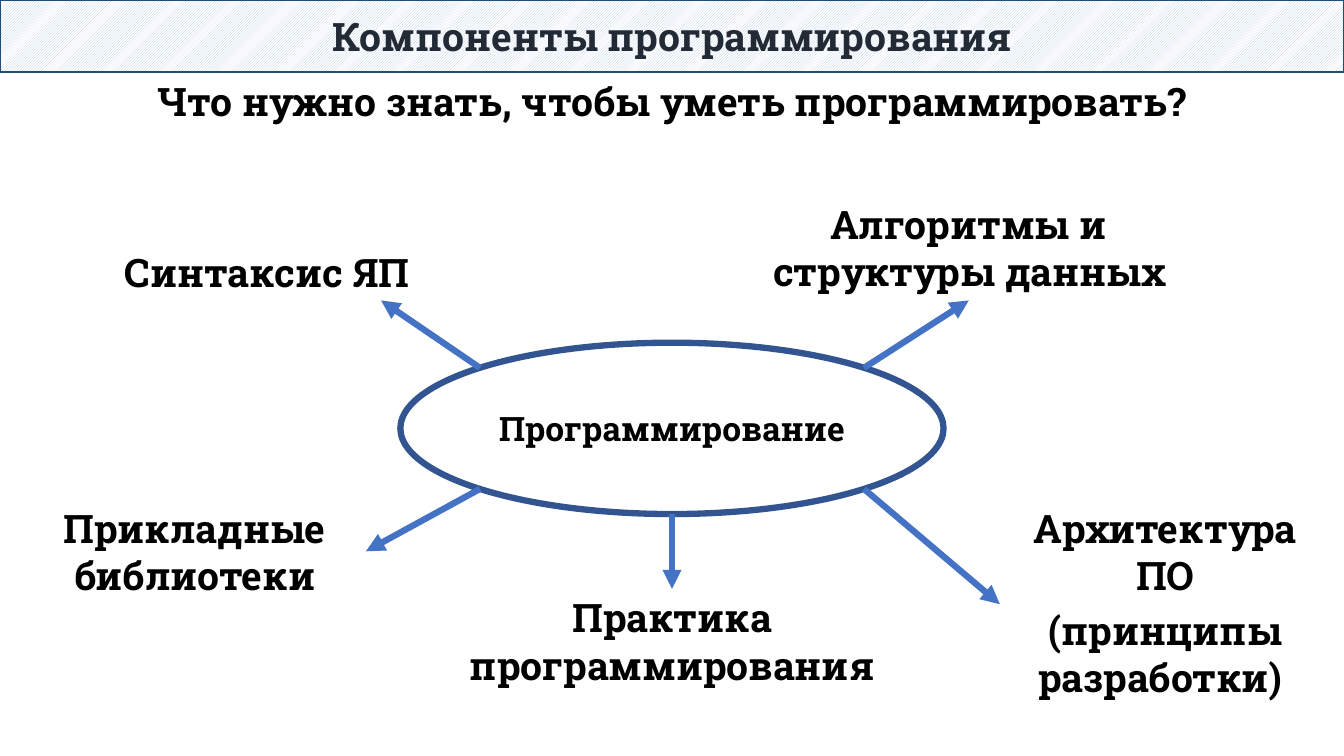
import math
from dataclasses import dataclass

import lxml.etree
import pptx
import pptx.dml.color
import pptx.enum.dml
import pptx.enum.shapes
import pptx.enum.text
import pptx.oxml.ns
import pptx.util

Pt = pptx.util.Pt
Color = pptx.dml.color.RGBColor.from_string


@dataclass(frozen=True)
class Theme:
    font: str = "Roboto Slab"
    heading_size: int = 28
    center_size: int = 24
    text: str = "000000"
    title: str = "222A35"
    banner_line: str = "1F4E79"
    hatch: str = "B4C7E7"
    paper: str = "FFFFFF"
    ellipse_line: str = "325491"
    arrow: str = "4472C4"


theme = Theme()


def write(box, lines, size, color):
    frame = box.text_frame
    frame.word_wrap = True
    frame.text = "\n".join(lines)
    for para in frame.paragraphs:
        para.alignment = pptx.enum.text.PP_ALIGN.CENTER
        para.font.name = theme.font
        para.font.size = Pt(size)
        para.font.bold = True
        para.font.color.rgb = Color(color)
    return frame


def add_shape(kind, left, top, width, height, line_color, line_width):
    shape = page.shapes.add_shape(kind, Pt(left), Pt(top), Pt(width), Pt(height))
    shape.shadow.inherit = False
    shape.line.color.rgb = Color(line_color)
    shape.line.width = Pt(line_width)
    shape.text_frame.vertical_anchor = pptx.enum.text.MSO_ANCHOR.MIDDLE
    return shape


deck = pptx.Presentation()
deck.slide_width, deck.slide_height = Pt(960), Pt(540)
page = deck.slides.add_slide(deck.slide_layouts[6])
shape_kinds = pptx.enum.shapes.MSO_SHAPE

banner = add_shape(shape_kinds.RECTANGLE, 0, 0, 960, 51.6, theme.banner_line, 1.25)
banner.fill.patterned()
banner.fill.pattern = pptx.enum.dml.MSO_PATTERN.LIGHT_UPWARD_DIAGONAL
banner.fill.fore_color.rgb = Color(theme.hatch)
banner.fill.back_color.rgb = Color(theme.paper)
frame = write(banner, ["Компоненты программирования"], theme.heading_size, theme.title)
frame.margin_left = frame.margin_right = Pt(1.5)
frame.margin_top = frame.margin_bottom = Pt(1.5)

center_x, center_y = 480, 306
ellipse_width, ellipse_height = 388, 122.4
ellipse = add_shape(
    shape_kinds.OVAL,
    center_x - ellipse_width / 2,
    center_y - ellipse_height / 2,
    ellipse_width,
    ellipse_height,
    theme.ellipse_line,
    4.5,
)
ellipse.fill.background()
write(ellipse, ["Программирование"], theme.center_size, theme.text)

labels = [
    (0, 51.6, 960, 41.2, ["Что нужно знать, чтобы уметь программировать?"]),
    (67, 173.5, 247.7, 41.2, ["Синтаксис ЯП"]),
    (17.3, 356.6, 243.4, 75, ["Прикладные библиотеки"]),
    (314.8, 420.6, 330.5, 75, ["Практика программирования"]),
    (714.2, 356.6, 236.2, 150, ["Архитектура ПО", "(принципы разработки) "]),
    (509.8, 139.2, 364.3, 75, ["Алгоритмы и структуры данных"]),
]
for left, top, width, height, lines in labels:
    label = page.shapes.add_textbox(Pt(left), Pt(top), Pt(width), Pt(height))
    frame = write(label, lines, theme.heading_size, theme.text)
    frame.auto_size = pptx.enum.text.MSO_AUTO_SIZE.SHAPE_TO_FIT_TEXT
    for para in frame.paragraphs:
        para.space_before = Pt(theme.heading_size * 0.2)

arrows = [
    (225, 272.2, 214.6),
    (135, 261.4, 393.8),
    (90, 480, 420.6),
    (45, 714.2, 431.6),
    (-45, 692, 214.6),
]
for angle, end_x, end_y in arrows:
    start_x = center_x + ellipse_width / 2 * math.cos(math.radians(angle))
    start_y = center_y + ellipse_height / 2 * math.sin(math.radians(angle))
    arrow = page.shapes.add_connector(
        pptx.enum.shapes.MSO_CONNECTOR.STRAIGHT,
        Pt(start_x), Pt(start_y), Pt(end_x), Pt(end_y),
    )
    arrow.line.color.rgb = Color(theme.arrow)
    arrow.line.width = Pt(4.5)
    properties = arrow.element.spPr
    outline = properties.find(pptx.oxml.ns.qn("a:ln"))
    lxml.etree.SubElement(outline, pptx.oxml.ns.qn("a:tailEnd"), type="triangle")
    lxml.etree.SubElement(properties, pptx.oxml.ns.qn("a:effectLst"))

deck.save("out.pptx")
